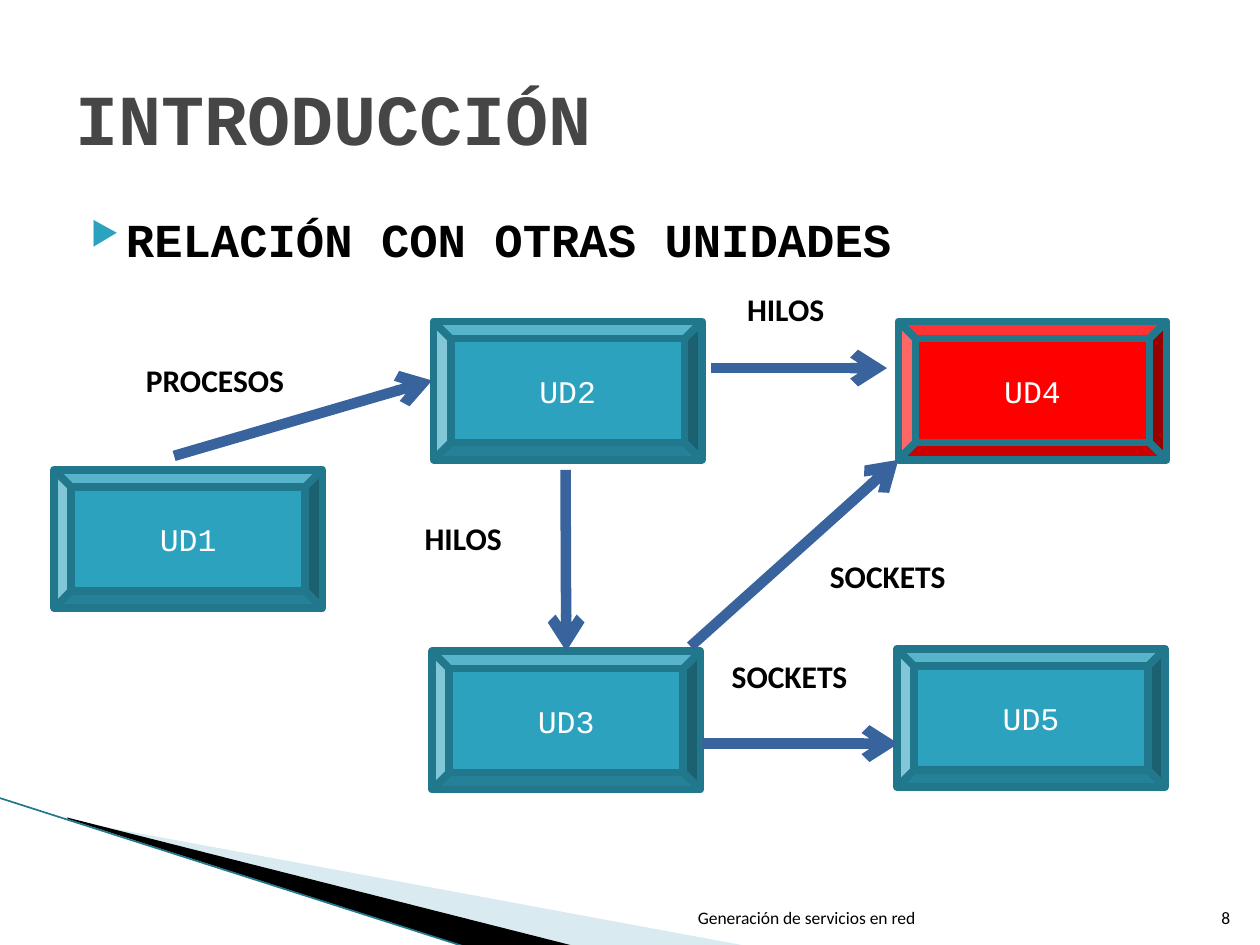
from lxml import etree
from pptx import Presentation
from pptx.dml.color import RGBColor
from pptx.enum.shapes import MSO_CONNECTOR, MSO_SHAPE
from pptx.enum.text import MSO_ANCHOR, PP_ALIGN
from pptx.oxml.ns import qn
from pptx.util import Cm, Pt

LINE, BEVEL = MSO_CONNECTOR.STRAIGHT, MSO_SHAPE.BEVEL
TOP, MIDDLE, BOTTOM = MSO_ANCHOR.TOP, MSO_ANCHOR.MIDDLE, MSO_ANCHOR.BOTTOM
LEFT, CENTER, RIGHT = PP_ALIGN.LEFT, PP_ALIGN.CENTER, PP_ALIGN.RIGHT

TEAL = RGBColor(0x2D, 0xA2, 0xBF)
DARK = RGBColor(0x21, 0x78, 0x8D)
RED = RGBColor(0xFF, 0x00, 0x00)
BLUE = RGBColor(0x39, 0x63, 0x9D)
PALE = RGBColor(0xD9, 0xEA, 0xF1)
GRAY = RGBColor(0x46, 0x46, 0x46)
BLACK = RGBColor(0, 0, 0)
WHITE = RGBColor(0xFF, 0xFF, 0xFF)
MONO, SANS = "Courier New", "Calibri"

WINGS = [
    (PALE, [(1.4, 16.54), (15.11, 19.08), (11.58, 19.08), (1.4, 16.51)]),
    (BLACK, [(1.35, 16.48), (11.61, 19.08), (9.45, 19.1), (1.37, 16.51)]),
]
EDGE = (-0.03, 16.08, 9.42, 19.1)
TITLE = "INTRODUCCIÓN"
TOPIC = "RELACIÓN CON OTRAS UNIDADES"
FOOTER = [
    ("Generación de servicios en red", 12.17, 6.53),
    ("8", 24.03, 1.02),
]
UNITS = [
    ("UD1", 1.09, 9.47, TEAL),
    ("UD2", 8.74, 6.48, TEAL),
    ("UD3", 8.71, 13.13, TEAL),
    ("UD5", 18.08, 13.08, TEAL),
    ("UD4", 18.11, 6.48, RED),
]
UNIT_W, UNIT_H = 5.41, 2.79
ARROWS = [
    (11.4, 9.47, 11.4, 13.13, "UD3"),
    (14.15, 14.99, 18.11, 14.99, None),
    (3.51, 9.19, 8.71, 7.67, None),
    (14.33, 7.42, 17.88, 7.42, None),
    (13.92, 13.03, 18.11, 9.27, None),
]
LABELS = [
    ("HILOS", 8.31, 10.34, 2.41),
    ("SOCKETS", 14.5, 13.13, 3.2),
    ("PROCESOS", 2.69, 7.16, 3.4),
    ("HILOS", 14.81, 5.72, 2.69),
    ("SOCKETS", 16.48, 11.1, 3.89),
]


def write(shape, text, size, font, color, bold=False, align=LEFT, anchor=TOP):
    frame = shape.text_frame
    frame.text = text
    frame.word_wrap = True
    frame.vertical_anchor = anchor
    para = frame.paragraphs[0]
    para.alignment = align
    face = para.runs[0].font
    face.size, face.name, face.bold = Pt(size), font, bold
    face.color.rgb = color
    return para


def add_text(shapes, box, *style, **more):
    shape = shapes.add_textbox(*map(Cm, box))
    return shape, write(shape, *style, **more)


def add_bullet(para):
    props = para._p.get_or_add_pPr()
    props.set("marL", str(Cm(1.02)))
    props.set("indent", str(Cm(-0.71)))
    color = etree.SubElement(props, qn("a:buClr"))
    etree.SubElement(color, qn("a:srgbClr"), val=str(TEAL))
    etree.SubElement(props, qn("a:buSzPct"), val="68000")
    etree.SubElement(props, qn("a:buChar"), char="▶")


def add_line(shapes, ends, color, width):
    line = shapes.add_connector(LINE, *map(Cm, ends))
    line.line.color.rgb = color
    line.line.width = Pt(width)
    etree.SubElement(line._element.spPr, qn("a:effectLst"))
    return line


def add_wing(shapes, color, points):
    spots = [(Cm(x), Cm(y)) for x, y in points]
    path = shapes.build_freeform(*spots[0])
    path.add_line_segments(spots[1:])
    wing = path.convert_to_shape()
    wing.shadow.inherit = False
    wing.fill.solid()
    wing.fill.fore_color.rgb = color
    wing.line.fill.background()


def add_unit(shapes, name, left, top, color):
    unit = shapes.add_shape(BEVEL, Cm(left), Cm(top), Cm(UNIT_W), Cm(UNIT_H))
    unit.shadow.inherit = False
    unit.fill.solid()
    unit.fill.fore_color.rgb = color
    unit.line.color.rgb = DARK
    unit.line.width = Pt(4.33)
    write(unit, name, 18, MONO, WHITE, align=CENTER, anchor=MIDDLE)
    return unit


def main():
    deck = Presentation()
    deck.slide_width, deck.slide_height = Cm(25.4), Cm(19.05)
    shapes = deck.slides.add_slide(deck.slide_layouts[6]).shapes

    for color, points in WINGS:
        add_wing(shapes, color, points)
    add_line(shapes, EDGE, DARK, 0.95)

    _, para = add_text(shapes, (1.27, 4.11, 22.86, 12.57),
                       TOPIC, 27, MONO, BLACK, bold=True)
    para.space_before = Pt(4)
    add_bullet(para)
    add_text(shapes, (1.27, 0.76, 22.86, 3.18),
             TITLE, 41, MONO, GRAY, bold=True, anchor=MIDDLE)
    for text, left, width in FOOTER:
        add_text(shapes, (left, 17.81, width, 1.02),
                 text, 10, SANS, BLACK, align=RIGHT, anchor=BOTTOM)

    units = {unit[0]: add_unit(shapes, *unit) for unit in UNITS}
    for *ends, goal in ARROWS:
        arrow = add_line(shapes, ends, BLUE, 6)
        etree.SubElement(arrow.line._get_or_add_ln(), qn("a:tailEnd"), type="arrow")
        if goal:
            arrow.end_connect(units[goal], 0)
    for text, left, top, width in LABELS:
        label, _ = add_text(shapes, (left, top, width, 1.02),
                            text, 18, SANS, BLACK, bold=True)
        label.fill.solid()
        label.fill.fore_color.rgb = WHITE

    deck.save("out.pptx")


if __name__ == "__main__":
    main()
